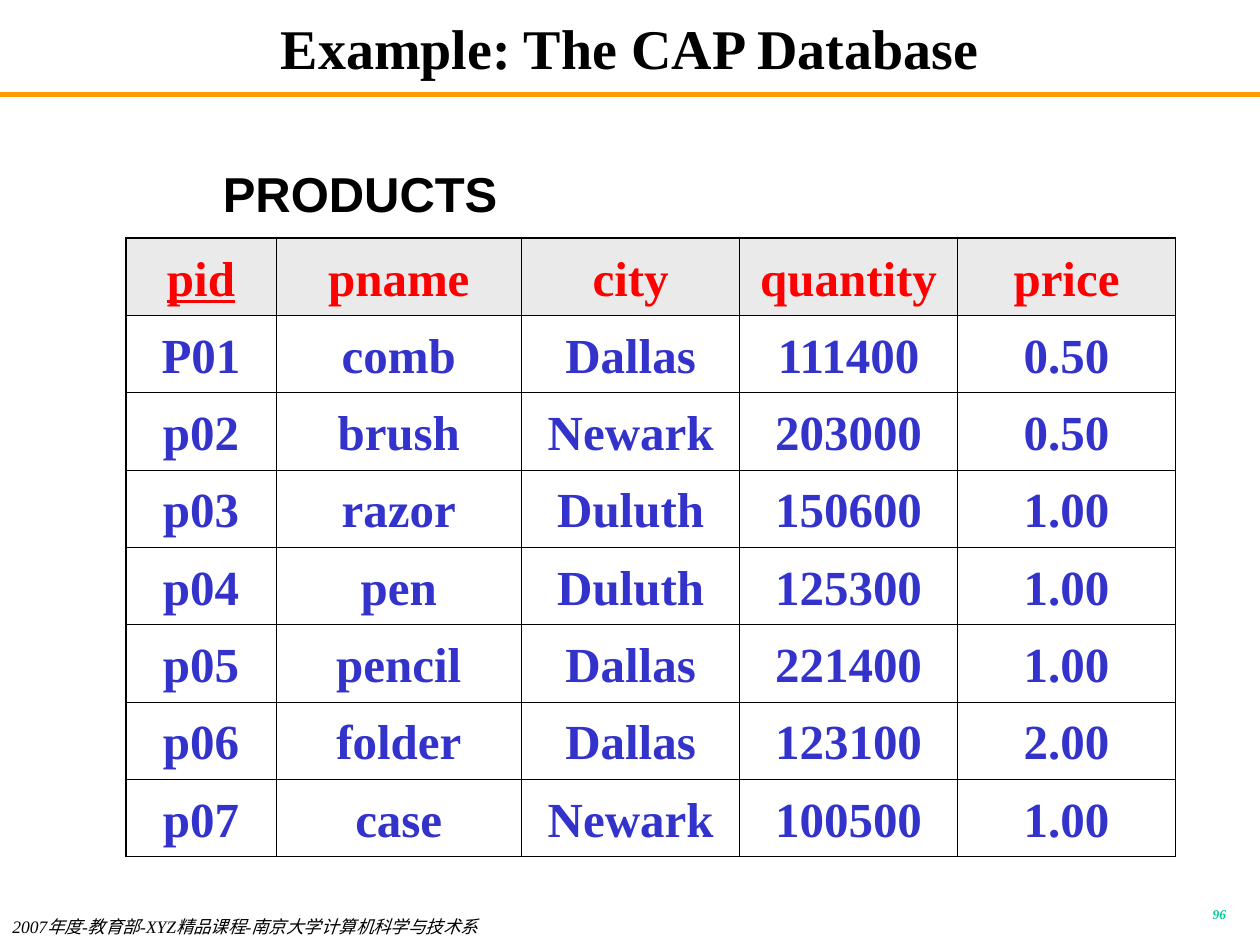
from lxml import etree
from pptx import Presentation
from pptx.dml.color import RGBColor
from pptx.enum.shapes import MSO_CONNECTOR
from pptx.enum.text import MSO_ANCHOR, MSO_AUTO_SIZE, PP_ALIGN
from pptx.oxml.ns import qn
from pptx.util import Inches, Pt

BLACK = RGBColor(0x00, 0x00, 0x00)
ORANGE = RGBColor(0xFF, 0x99, 0x00)
GREEN = RGBColor(0x00, 0xCC, 0x99)
RED = RGBColor(0xFF, 0x00, 0x00)
BLUE = RGBColor(0x33, 0x33, 0xCC)
GREY = RGBColor(0xEA, 0xEA, 0xEA)

LEFT, CENTER, RIGHT = PP_ALIGN.LEFT, PP_ALIGN.CENTER, PP_ALIGN.RIGHT
TOP, MIDDLE = MSO_ANCHOR.TOP, MSO_ANCHOR.MIDDLE
NO_FIT = MSO_AUTO_SIZE.NONE
STRAIGHT = MSO_CONNECTOR.STRAIGHT

TITLE_ONLY = 5
SERIF, SANS = "Times New Roman", "Arial"
OUTER, INNER = 1.08, 0.45  # table border widths in points

COLUMN_WIDTHS = [1.19, 1.95, 1.73, 1.73, 1.73]
PRODUCTS = [
    ["pid", "pname", "city", "quantity", "price"],
    ["P01", "comb", "Dallas", "111400", "0.50"],
    ["p02", "brush", "Newark", "203000", "0.50"],
    ["p03", "razor", "Duluth", "150600", "1.00"],
    ["p04", "pen", "Duluth", "125300", "1.00"],
    ["p05", "pencil", "Dallas", "221400", "1.00"],
    ["p06", "folder", "Dallas", "123100", "2.00"],
    ["p07", "case", "Newark", "100500", "1.00"],
]


class SlideBuilder:
    """Holds the deck, its current slide and the base text style.

    Places are given in grid units of one inch, 10 columns by 7.5 rows.
    """

    base_font = {"name": SERIF, "size": 28, "bold": True, "color": BLACK}

    def __init__(self, columns=10, rows=7.5):
        self.deck = Presentation()
        self.deck.slide_width = Inches(columns)
        self.deck.slide_height = Inches(rows)
        self.page = self.deck.slides.add_slide(self.deck.slide_layouts[TITLE_ONLY])

    def set_text(self, frame, text, align=LEFT, spacing=1.0, **font_values):
        para = frame.paragraphs[0]
        para.alignment = align
        para.line_spacing = spacing
        span = para.add_run()
        span.text = text
        values = {**self.base_font, **font_values}
        span.font.color.rgb = values.pop("color")
        values["size"] = Pt(values["size"])
        for name, value in values.items():
            setattr(span.font, name, value)

    def fill_box(self, box, text, anchor=TOP, **text_values):
        frame = box.text_frame
        settings = {"word_wrap": True, "auto_size": NO_FIT, "vertical_anchor": anchor}
        for name, value in settings.items():
            setattr(frame, name, value)
        self.set_text(frame, text, **text_values)

    def title(self, place, text, **text_values):
        box = self.page.shapes.title
        for name, value in zip(("left", "top", "width", "height"), place):
            setattr(box, name, Inches(value))
        self.fill_box(box, text, anchor=MIDDLE, **text_values)

    def text(self, place, text, **text_values):
        box = self.page.shapes.add_textbox(*map(Inches, place))
        self.fill_box(box, text, **text_values)

    def rule(self, start, end, color, width):
        line = self.page.shapes.add_connector(STRAIGHT, *map(Inches, start + end))
        line.line.color.rgb = color
        line.line.width = Pt(width)
        etree.SubElement(line._element.spPr, qn("a:effectLst"))

    def borders(self, cell, widths):
        properties = cell._tc.get_or_add_tcPr()
        for side, width in widths.items():
            edge = etree.SubElement(properties, qn(f"a:ln{side}"), w=str(Pt(width)))
            fill = etree.SubElement(edge, qn("a:solidFill"))
            etree.SubElement(fill, qn("a:srgbClr"), val=str(BLACK))

    def table(self, place, widths, records):
        last_row, last_column = len(records) - 1, len(widths) - 1
        table = self.page.shapes.add_table(
            len(records), len(widths), *map(Inches, place)).table
        table.first_row = table.horz_banding = False
        for column, width in zip(table.columns, widths):
            column.width = Inches(width)
        for r, record in enumerate(records):
            for c, text in enumerate(record):
                cell = table.cell(r, c)
                cell.vertical_anchor = MIDDLE
                self.borders(cell, {
                    "L": OUTER if c == 0 else INNER,
                    "R": OUTER if c == last_column else INNER,
                    "T": OUTER if r == 0 else INNER,
                    "B": OUTER if r == last_row else INNER,
                })
                header = r == 0
                if header:
                    cell.fill.solid()
                    cell.fill.fore_color.rgb = GREY
                else:
                    cell.fill.background()
                # The key column's heading is underlined
                self.set_text(cell.text_frame, text, align=CENTER, spacing=1.1,
                              color=RED if header else BLUE,
                              underline=header and c == 0)

    def save(self):
        self.deck.save("out.pptx")


def main():
    slide = SlideBuilder()

    # Heading and rule
    slide.rule((0, 0.75), (10, 0.75), ORANGE, 3)
    slide.title((0.75, 0.08, 8.5, 0.58), "Example: The CAP Database",
                align=CENTER, size=32)

    # Footer and page number
    slide.text((0, 7.22, 6.1, 0.28),
               "2007年度-教育部-XYZ精品课程-南京大学计算机科学与技术系",
               size=10, bold=False, italic=True)
    slide.text((7.75, 7.17, 2.08, 0.25), "96", align=RIGHT, spacing=0.8,
               size=7.7, italic=True, color=GREEN)

    # Products table with its caption
    slide.table((1, 1.89, sum(COLUMN_WIDTHS), 4.91), COLUMN_WIDTHS, PRODUCTS)
    slide.text((1.67, 1.25, 2.62, 0.57), "PRODUCTS", name=SANS)

    slide.save()


if __name__ == "__main__":
    main()
